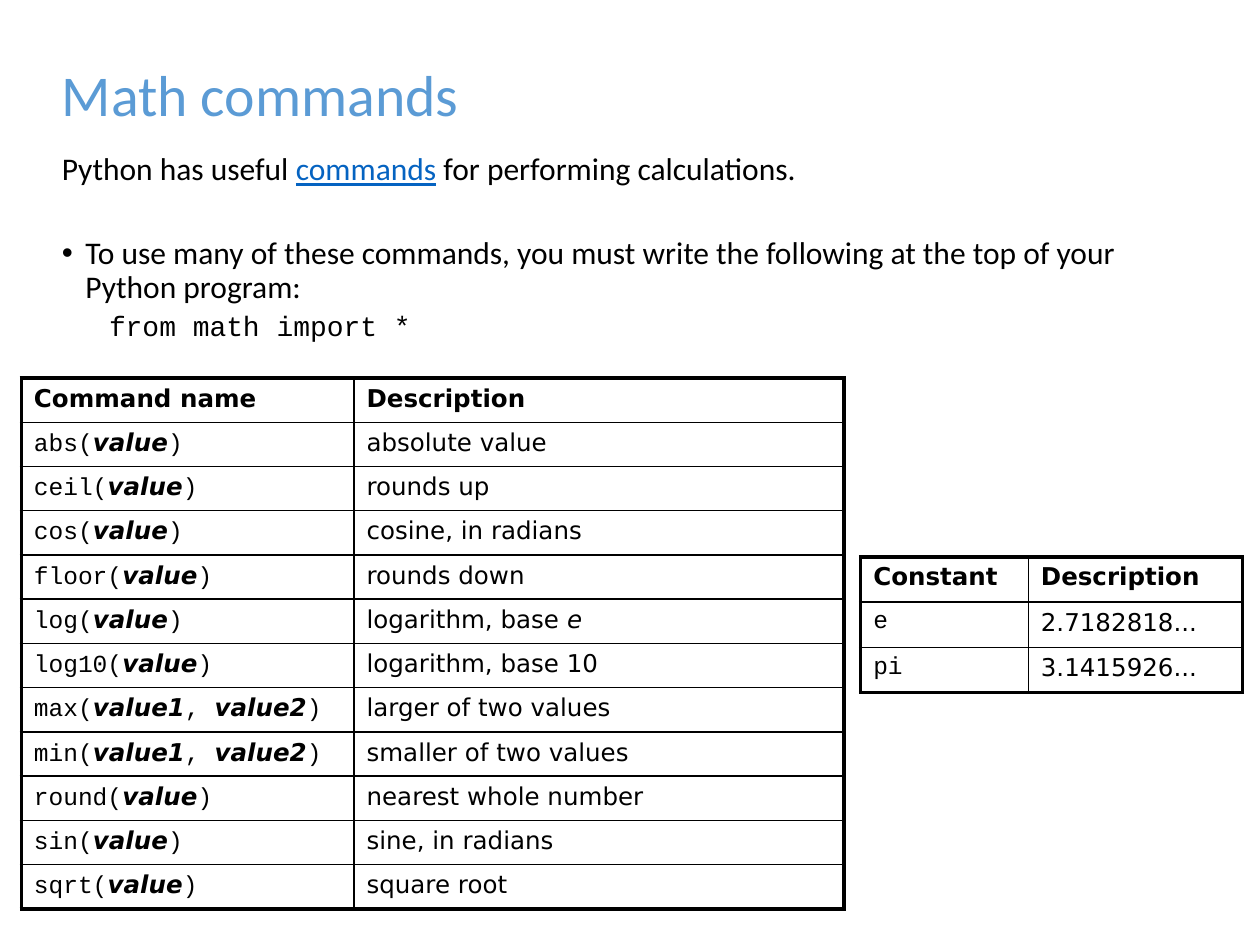
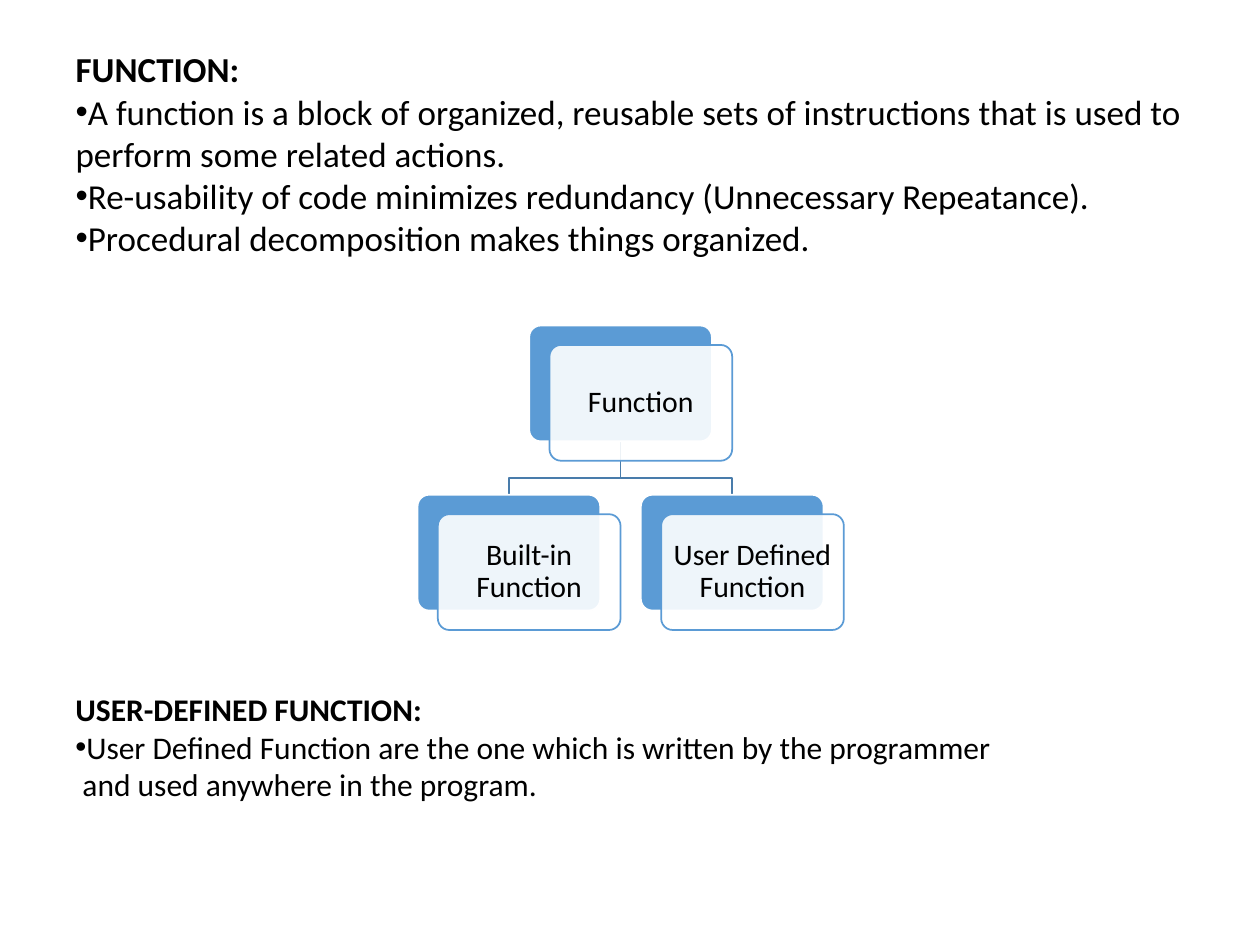
from dataclasses import dataclass

from lxml import etree
from pptx import Presentation
from pptx.dml.color import RGBColor
from pptx.enum import shapes, text
from pptx.oxml import ns
from pptx.util import Pt


@dataclass(frozen=True)
class Theme:
    sans: str = "Calibri"
    mono: str = "Courier New"
    cell: str = "DejaVu Sans"
    black: str = "000000"
    white: str = "FFFFFF"
    blue: str = "5B9BD5"
    link: str = "0563C1"
    branch: str = "497CAB"
    title_size: int = 33
    lead_size: int = 20
    body_size: int = 18
    node_size: int = 17
    code_size: int = 16
    cell_size: int = 14
    thin: float = 1
    thick: float = 2.25


T = Theme()


def add_run(p, words, size=T.body_size, font=T.sans, color=T.black,
            bold=False, italic=False, underline=False):
    r = p.add_run()
    r.text = words
    r.font.size, r.font.name = Pt(size), font
    r.font.color.rgb = RGBColor.from_string(color)
    r.font.bold, r.font.italic, r.font.underline = bold, italic, underline


def set_paragraph(p, bullet=False, margin=0, indent=0, before=0, line=1.0):
    """Set spacing, indents and the bullet of a paragraph."""
    p.alignment = text.PP_ALIGN.LEFT
    p.space_before, p.space_after, p.line_spacing = Pt(before), Pt(0), line
    pPr = p._p.get_or_add_pPr()
    pPr.set("marL", str(Pt(margin)))
    pPr.set("indent", str(Pt(indent)))
    if bullet:
        etree.SubElement(pPr, ns.qn("a:buFont"), typeface="Arial")
        etree.SubElement(pPr, ns.qn("a:buChar"), char="•")
    else:
        etree.SubElement(pPr, ns.qn("a:buNone"))


prs = Presentation()
prs.slide_width, prs.slide_height = Pt(720), Pt(540)
layout = prs.slide_layouts[1]

# Slide 1: math commands
s = prs.slides.add_slide(layout)
title, body = s.placeholders
for sp, top, height in ((title, 3.6, 104.4), (body, 84.2, 85)):
    sp.left, sp.top, sp.width, sp.height = Pt(28.1), Pt(top), Pt(620.6), Pt(height)
    sp.text_frame.auto_size = text.MSO_AUTO_SIZE.NONE
    sp.text_frame.word_wrap = True
title.text_frame.vertical_anchor = text.MSO_ANCHOR.MIDDLE

p = title.text_frame.paragraphs[0]
set_paragraph(p, line=0.9)
add_run(p, "Math commands", size=T.title_size, color=T.blue)

tf = body.text_frame
p = tf.paragraphs[0]
set_paragraph(p, before=7.5, line=0.9)
add_run(p, "Python has useful ")
add_run(p, "commands", color=T.link, underline=True)
add_run(p, " for performing calculations.")

p = tf.add_paragraph()
set_paragraph(p, bullet=True, margin=13.5, indent=-13.5, before=28.5, line=0.9)
add_run(p, "To use many of these commands, you must write the following "
           "at the top of your Python program:")

p = tf.add_paragraph()
p.level = 1
set_paragraph(p, margin=40.5, indent=-13.5, before=3.8, line=0.9)
add_run(p, "from math import *", size=T.code_size, font=T.mono)

head = dict(font=T.cell, bold=True)
plain = dict(font=T.cell)
code = dict(font=T.mono)
argument = dict(font=T.cell, bold=True, italic=True)

commands = [
    ("abs", ["value"], "absolute value"),
    ("ceil", ["value"], "rounds up"),
    ("cos", ["value"], "cosine, in radians"),
    ("floor", ["value"], "rounds down"),
    ("log", ["value"], "logarithm, base "),
    ("log10", ["value"], "logarithm, base 10"),
    ("max", ["value1", "value2"], "larger of two values"),
    ("min", ["value1", "value2"], "smaller of two values"),
    ("round", ["value"], "nearest whole number"),
    ("sin", ["value"], "sine, in radians"),
    ("sqrt", ["value"], "square root"),
]
command_rows = [[[("Command name", head)], [("Description", head)]]]
for name, arguments, description in commands:
    call = [(name + "(", code)]
    for i, arg in enumerate(arguments):
        if i:
            call.append((", ", code))
        call.append((arg, argument))
    call.append((")", code))
    meaning = [(description, plain)]
    if name == "log":
        meaning.append(("e", dict(font=T.cell, italic=True)))
    command_rows.append([call, meaning])

constant_rows = [[[("Constant", head)], [("Description", head)]]]
for name, value in (("e", "2.7182818..."), ("pi", "3.1415926...")):
    constant_rows.append([[(name, code)], [(value, plain)]])

tables = [
    (command_rows, 12.2, 216, (190.1, 280.1), 25.3),
    (constant_rows, 491.8, 318.2, (95.8, 122.4), 25.9),
]
for rows, left, top, widths, row_height in tables:
    table = s.shapes.add_table(len(rows), len(widths), Pt(left), Pt(top),
                               Pt(sum(widths)), Pt(row_height * len(rows))).table
    table.first_row = table.horz_banding = False
    for column, width in zip(table.columns, widths):
        column.width = Pt(width)
    for i, row in enumerate(rows):
        table.rows[i].height = Pt(row_height)
        for j, runs in enumerate(row):
            cell = table.cell(i, j)
            cell.fill.background()
            p = cell.text_frame.paragraphs[0]
            for words, style in runs:
                add_run(p, words, size=T.cell_size, **style)
            outer = {"L": j == 0, "R": j == len(widths) - 1,
                     "T": i == 0, "B": i == len(rows) - 1}
            tcPr = cell._tc.get_or_add_tcPr()
            for k, (side, is_outer) in enumerate(outer.items()):
                weight = T.thick if is_outer else T.thin
                ln = etree.Element(ns.qn("a:ln" + side), w=str(Pt(weight)))
                fill = etree.SubElement(ln, ns.qn("a:solidFill"))
                etree.SubElement(fill, ns.qn("a:srgbClr"), val=T.black)
                tcPr.insert(k, ln)

# Slide 2: functions
s = prs.slides.add_slide(layout)
title, body = s.placeholders
title._element.getparent().remove(title._element)
body.left, body.top, body.width, body.height = Pt(36), Pt(23.8), Pt(660), Pt(172)
user_defined = s.shapes.add_textbox(Pt(36), Pt(390.2), Pt(548), Pt(72.7))

blocks = [
    (body, T.lead_size, text.MSO_ANCHOR.TOP, [
        ("FUNCTION:", False),
        ("A function is a block of organized, reusable sets of instructions "
         "that is used to", True),
        ("perform some related actions.", False),
        ("Re-usability of code minimizes redundancy (Unnecessary Repeatance).", True),
        ("Procedural decomposition makes things organized.", True),
    ]),
    (user_defined, T.body_size, text.MSO_ANCHOR.MIDDLE, [
        ("USER-DEFINED FUNCTION:", False),
        ("User Defined Function are the one which is written by the programmer", True),
        (" and used anywhere in the program.", False),
    ]),
]
for sp, size, anchor, lines in blocks:
    tf = sp.text_frame
    tf.word_wrap, tf.auto_size = True, text.MSO_AUTO_SIZE.NONE
    tf.vertical_anchor = anchor
    for i, (words, bullet) in enumerate(lines):
        p = tf.add_paragraph() if i else tf.paragraphs[0]
        set_paragraph(p, bullet=bullet)
        add_run(p, words, size=size, bold=i == 0)

# Function tree: each node is a blue card with a translucent white card in front
node_w, node_h = 104.4, 66.2
root_x, root_y, child_y = 302.4, 186, 282.7
half_step = 63.8
shift_x, shift_y = 11.6, 11.1
nodes = [
    ("Function", root_x, root_y),
    ("Built-in Function", root_x - half_step, child_y),
    ("User Defined Function", root_x + half_step, child_y),
]
tree = s.shapes.add_group_shape().shapes
root_mid, root_bottom, fork_y = root_x + node_w / 2, root_y + node_h, 273
for label, x, y in reversed(nodes[1:]):
    child_mid = x + node_w / 2
    builder = tree.build_freeform(Pt(root_mid), Pt(root_bottom))
    builder.add_line_segments([(Pt(root_mid), Pt(fork_y)), (Pt(child_mid), Pt(fork_y)),
                               (Pt(child_mid), Pt(child_y))], close=False)
    branch = builder.convert_to_shape()
    branch.shadow.inherit = False
    branch.fill.background()
    branch.line.color.rgb = RGBColor.from_string(T.branch)
    branch.line.width = Pt(T.thin)

for label, x, y in nodes:
    for dx, dy, fill, line in ((0, 0, T.blue, T.white), (shift_x, shift_y, T.white, T.blue)):
        card = tree.add_shape(shapes.MSO_SHAPE.ROUNDED_RECTANGLE,
                              Pt(x + dx), Pt(y + dy), Pt(node_w), Pt(node_h))
        card.adjustments[0] = 0.1
        card.shadow.inherit = False
        card.fill.solid()
        card.fill.fore_color.rgb = RGBColor.from_string(fill)
        card.line.color.rgb = RGBColor.from_string(line)
        card.line.width = Pt(T.thin)
    color = card._element.xpath("./p:spPr/a:solidFill/a:srgbClr")[0]
    etree.SubElement(color, ns.qn("a:alpha"), val="90000")
    tf = card.text_frame
    tf.word_wrap, tf.vertical_anchor = True, text.MSO_ANCHOR.MIDDLE
    tf.margin_left = tf.margin_right = tf.margin_top = tf.margin_bottom = Pt(4)
    p = tf.paragraphs[0]
    p.alignment, p.line_spacing = text.PP_ALIGN.CENTER, 0.9
    add_run(p, label, size=T.node_size)

prs.save("out.pptx")
